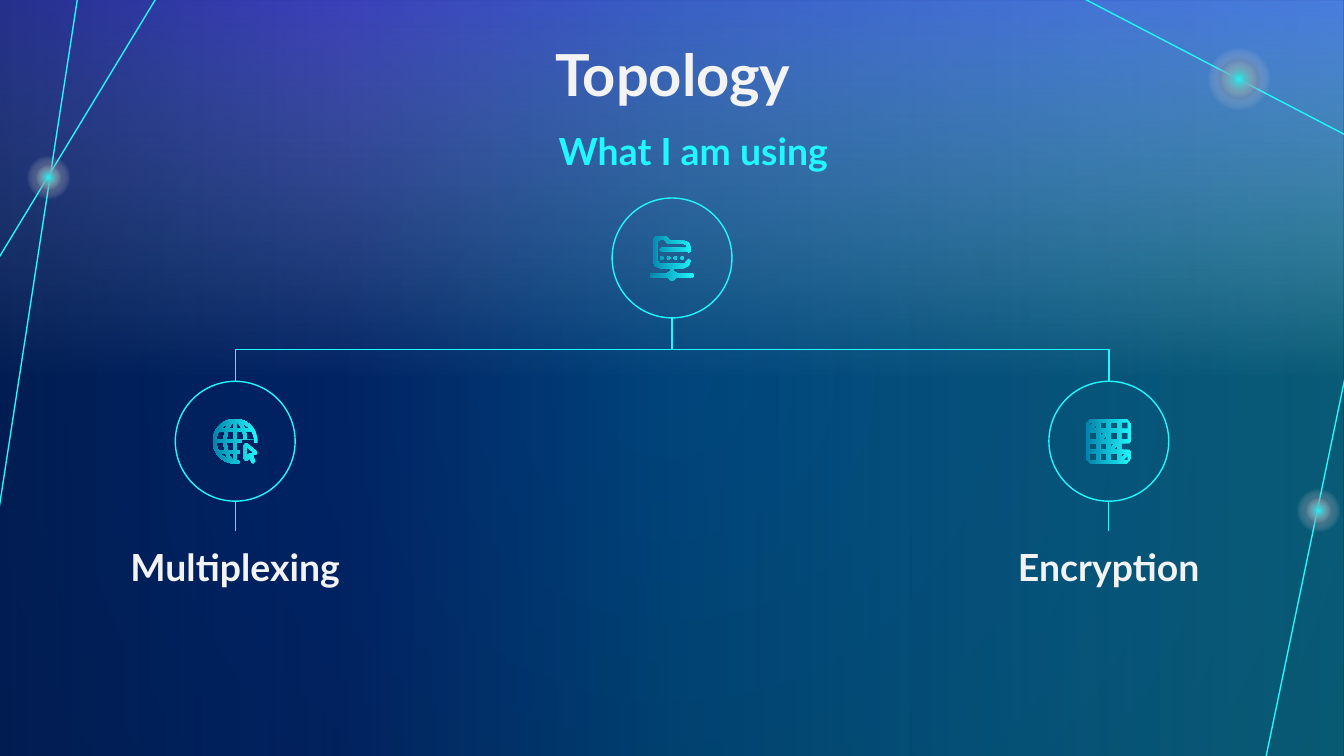
"""Build the Topology slide: a root ring branching to two labelled rings."""
from dataclasses import dataclass
from math import cos, radians, sin, sqrt

from lxml import etree
from pptx import Presentation
from pptx import util as u
from pptx.dml.color import RGBColor
from pptx.enum import shapes as kinds, text as txt
from pptx.oxml.ns import qn

COLORS = {"cyan": "20F8FD", "teal": "0182AA", "royal": "022E88", "navy": "012060",
          "night": "00183A", "white": "F3F3F3", "sky": "748BFF", "violet": "7659FF"}
WIDTH, HEIGHT = 720, 405
RING_RADIUS, CORE_RATIO = 32.1, 0.59
ROOT_Y, BRANCH_Y, LABEL_Y = 138.2, 236.4, 284.4
Point = tuple[float, float]
Contour = list[Point]


@dataclass
class Stop:
    position: int
    color: str
    opacity: int = 100


@dataclass
class Glow:
    x: float
    y: float
    size: float


@dataclass
class Label:
    words: str
    box: tuple[float, float, float, float]
    size: int
    color: str = "white"
    align: txt.PP_ALIGN = txt.PP_ALIGN.CENTER


@dataclass
class Node:
    x: float
    y: float
    icon: list[Contour]
    caption: str = ""


def rgb(name: str) -> RGBColor:
    return RGBColor.from_string(COLORS[name])


def paint_gradient(owner, stops: list[Stop], angle: int | None = None) -> None:
    owner.fill.gradient()
    root = slide.element if owner is slide.background else owner.element
    gradient = root.find(".//" + qn("a:gradFill"))
    for child in list(gradient):
        gradient.remove(child)
    listing = etree.SubElement(gradient, qn("a:gsLst"))
    for stop in stops:
        mark = etree.SubElement(listing, qn("a:gs"), pos=str(stop.position * 1000))
        tint = etree.SubElement(mark, qn("a:srgbClr"), val=COLORS[stop.color])
        if stop.opacity < 100:
            etree.SubElement(tint, qn("a:alpha"), val=str(stop.opacity * 1000))
    if angle is None:
        radial = etree.SubElement(gradient, qn("a:path"), {"path": "circle"})
        etree.SubElement(radial, qn("a:fillToRect"), dict.fromkeys("ltrb", "50000"))
    else:
        etree.SubElement(gradient, qn("a:lin"), ang=str(angle * 60000), scaled="0")


def add_plain(kind: kinds.MSO_SHAPE, left: float, top: float, width: float, height: float):
    plain = slide.shapes.add_shape(kind, *map(u.Pt, (left, top, width, height)))
    plain.shadow.inherit = False
    plain.line.fill.background()
    return plain


def add_disc(x: float, y: float, size: float):
    return add_plain(kinds.MSO_SHAPE.OVAL, x - size / 2, y - size / 2, size, size)


def style_line(stroke) -> None:
    stroke.color.rgb = rgb("cyan")
    stroke.width = u.Pt(0.75)


def add_link(start: Point, end: Point, kind=kinds.MSO_CONNECTOR.STRAIGHT):
    link = slide.shapes.add_connector(kind, *map(u.Pt, (*start, *end)))
    style_line(link.line)
    etree.SubElement(link.element.spPr, qn("a:effectLst"))
    return link


def add_branch(start: Point, end: Point) -> None:
    """Draw an elbow that leaves downwards, as a turned three-part connector."""
    drop, run = end[1] - start[1], abs(end[0] - start[0])
    middle_x, middle_y = (start[0] + end[0]) / 2, (start[1] + end[1]) / 2
    corner = (middle_x - drop / 2, middle_y - run / 2)
    branch = add_link(corner, (corner[0] + drop, corner[1] + run), kinds.MSO_CONNECTOR.ELBOW)
    turn = {"rot": "5400000"} if end[0] < start[0] else {"rot": "16200000", "flipH": "1"}
    for name, value in turn.items():
        branch.element.spPr.xfrm.set(name, value)


def write_label(label: Label, holder=None):
    box = list(map(u.Pt, label.box))
    holder = holder or slide.shapes.add_textbox(*box)
    for name, value in zip(("left", "top", "width", "height"), box):
        setattr(holder, name, value)
    frame = holder.text_frame
    frame.text = label.words
    margins = dict.fromkeys(("margin_left", "margin_top", "margin_right", "margin_bottom"), u.Pt(7.2))
    frame_format = {"word_wrap": True, "auto_size": txt.MSO_AUTO_SIZE.NONE,
                    "vertical_anchor": txt.MSO_ANCHOR.TOP, **margins}
    paragraph = frame.paragraphs[0]
    paragraph_format = {"alignment": label.align, "line_spacing": 1.0}
    font = paragraph.runs[0].font
    font_format = {"name": "Lato", "size": u.Pt(label.size), "bold": True}
    for target, values in ((frame, frame_format), (paragraph, paragraph_format), (font, font_format)):
        for name, value in values.items():
            setattr(target, name, value)
    font.color.rgb = rgb(label.color)
    return holder


def arc(radius: float, first: int, last: int, step: int, x: float = 0, y: float = 0) -> Contour:
    return [(x + radius * cos(radians(a)), y + radius * sin(radians(a)))
            for a in range(first, last + 1, step)]


def folder_icon() -> list[Contour]:
    outline = [(-101, -101), (-83, -119), (-43, -119), (-25, -110), (-10, -92), (65, -92),
               (90, -82), (101, -58), (101, -36), (90, -28), (80, -36), (-58, -36), (-65, -45),
               (-58, -54), (80, -54), (76, -70), (65, -75), (-18, -75), (-30, -82), (-43, -98),
               (-65, -98), (-80, -86), (-80, 14), (-65, 32), (65, 32), (80, 14), (90, 5),
               (101, 14), (90, 42), (65, 54), (9, 54), (9, 70), (28, 83), (112, 83), (120, 94),
               (112, 104), (25, 104), (0, 125), (-25, 104), (-112, 104), (-120, 94),
               (-112, 83), (-28, 83), (-9, 70), (-9, 54), (-65, 54), (-90, 42), (-101, 20)]
    return [outline] + [arc(9, 0, 315, 45, x) for x in (-54, -18, 18, 54)]


def globe_icon() -> list[Contour]:
    outline = arc(120, 80, 364, 4) + [(102, 9), (102, -9), (35, -9), (35, 9), (9, 9), (9, 51),
                                      (25, 51), (25, 68), (9, 68), (9, 102), (20, 102)]
    cursor = [(47, 20), (54, 11), (65, 13), (118, 55), (118, 70), (95, 75), (108, 108),
              (97, 119), (88, 115), (76, 90), (65, 102), (52, 102), (47, 94)]
    contours = [outline, cursor, [(62, 32), (98, 61), (72, 68), (62, 77)]]
    for top, bottom in ((-101, -68), (-51, -9), (9, 51), (68, 101)):
        levels = [top + (bottom - top) * i / 6 for i in range(7)]
        rim = [sqrt(102 ** 2 - y ** 2) for y in levels]
        outer = [62 * sqrt(1 - (y / 120) ** 2) for y in levels]
        inner = [45 * r / 102 for r in rim]
        for side in (-1, 1) if top < 0 else (-1,):
            for far, near in ((rim, outer), (inner, [9] * 7)):
                spans = [(side * max(f, n), side * n, y) for f, n, y in zip(far, near, levels)]
                contours.append([(f, y) for f, _, y in spans]
                                + [(n, y) for _, n, y in reversed(spans)])
    return contours


def cipher_icon() -> list[Contour]:
    start, pitch, cell = -102, 56, 36
    notch = start + 2 * pitch
    contours = [[(-120, -95), (-95, -120), (95, -120), (120, -95), (120, notch - 8), (112, notch),
                 (66, notch), (66, notch + cell), (112, notch + cell), (120, notch + cell + 8),
                 (120, 95), (95, 120), (-95, 120), (-120, 95)]]
    for row in range(4):
        for column in range(4):
            x, y = start + column * pitch, start + row * pitch
            far_x, far_y = x + cell, y + cell
            if row == column:
                contours += [[(x, y), (x + 25, y), (x, y + 25)],
                             [(far_x, far_y), (far_x - 25, far_y), (far_x, far_y - 25)]]
            elif (row, column) != (2, 3):
                contours.append([(x, y), (far_x, y), (far_x, far_y), (x, far_y)])
    return contours


def add_node(node: Node) -> None:
    ring = add_disc(node.x, node.y, 2 * RING_RADIUS)
    ring.fill.background()
    style_line(ring.line)
    builder = slide.shapes.build_freeform(*node.icon[0][0], scale=u.Pt(0.1))
    for index, contour in enumerate(node.icon):
        if index:
            builder.move_to(*contour[0])
        builder.add_line_segments(contour[1:], close=True)
    symbol = builder.convert_to_shape(u.Pt(node.x), u.Pt(node.y))
    symbol.shadow.inherit = False
    symbol.line.fill.background()
    paint_gradient(symbol, [Stop(0, "cyan"), Stop(100, "teal")], 180)
    if node.caption:
        add_branch((WIDTH / 2, ROOT_Y + RING_RADIUS), (node.x, node.y - RING_RADIUS))
        add_link((node.x, node.y + RING_RADIUS), (node.x, LABEL_Y))
        write_label(Label(node.caption, (node.x - 69.1, LABEL_Y, 138.2, 41.8), 20))


deck = Presentation()
deck.slide_width, deck.slide_height = u.Pt(WIDTH), u.Pt(HEIGHT)
slide = deck.slides.add_slide(deck.slide_layouts[5])
paint_gradient(slide.background, [Stop(0, "navy"), Stop(100, "night")])
VEILS = [([Stop(0, "sky", 0), Stop(50, "white", 0), Stop(100, "violet", 77)], 270),
         ([Stop(0, "cyan", 29), Stop(50, "teal", 36), Stop(75, "royal", 35), Stop(100, "navy", 60)], 180)]
for stops, angle in VEILS:
    paint_gradient(add_plain(kinds.MSO_SHAPE.RECTANGLE, 0, 0, WIDTH, HEIGHT), stops, angle)
for start, end in (((571, -5.8), (722.9, 73.4)), ((85.7, -4.3), (-0.7, 138.2)),
                   ((42.5, -7.2), (-0.7, 273.6)), ((677.5, 409), (720.7, 201.6))):
    add_link(start, end)
for glow in (Glow(25.9, 95, 33.1), Glow(663.8, 42.5, 47.5), Glow(706.3, 273.6, 33.1)):
    for size, center in ((glow.size, "night"), (glow.size * CORE_RATIO, "cyan")):
        paint_gradient(add_disc(glow.x, glow.y, size),
                       [Stop(0, center), Stop(50, "white", 0), Stop(100, "white", 0)])
title = write_label(Label("Topology", (56.9, 13.7, 607, 49.7), 31), slide.shapes.title)
slide.shapes.element.append(title.element)
write_label(Label("What I am using", (251.3, 61.2, 199.4, 41.8), 20, "cyan", txt.PP_ALIGN.RIGHT))
for node in (Node(WIDTH / 2, ROOT_Y, folder_icon()),
             Node(126, BRANCH_Y, globe_icon(), "Multiplexing"),
             Node(594, BRANCH_Y, cipher_icon(), "Encryption")):
    add_node(node)
deck.save("out.pptx")
